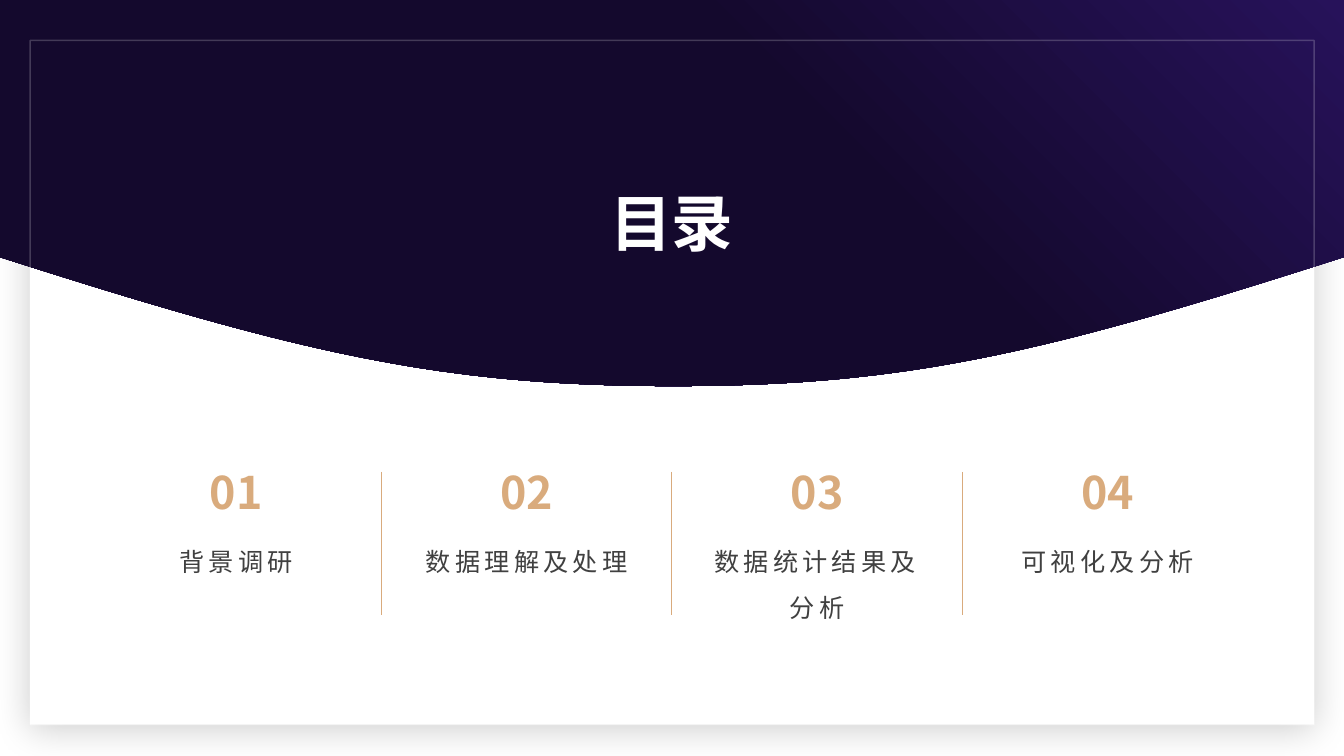
from typing import NamedTuple

from lxml import etree
from pptx import Presentation
from pptx.dml.color import RGBColor
from pptx.enum.shapes import MSO_CONNECTOR, MSO_SHAPE
from pptx.enum.text import MSO_ANCHOR, MSO_AUTO_SIZE, PP_ALIGN
from pptx.oxml.ns import qn
from pptx.util import Cm, Pt

RECTANGLE = MSO_SHAPE.RECTANGLE
STRAIGHT = MSO_CONNECTOR.STRAIGHT
TOP, BOTTOM = MSO_ANCHOR.TOP, MSO_ANCHOR.BOTTOM
CENTER = PP_ALIGN.CENTER
NO_AUTOFIT = MSO_AUTO_SIZE.NONE

WHITE = RGBColor(0xFF, 0xFF, 0xFF)
VIOLET = RGBColor(0x27, 0x12, 0x5A)
MIDNIGHT = RGBColor(0x14, 0x09, 0x2D)
GOLD = RGBColor(0xD9, 0xAB, 0x7D)
GRAY = RGBColor(0x40, 0x40, 0x40)
FONT = "Noto Sans CJK SC"

SLIDE_WIDTH, SLIDE_HEIGHT = 33.87, 19.05
COLUMN_LEFT, COLUMN_PITCH, COLUMN_WIDTH = 3.35, 7.32, 5.21
DIVIDER_OFFSET, DIVIDER_TOP, DIVIDER_BOTTOM = 6.26, 11.89, 15.49
CURVE_STEPS = 40


class Box(NamedTuple):
    left: float
    top: float
    width: float
    height: float

    def lengths(self):
        return tuple(Cm(value) for value in self)


class TextStyle(NamedTuple):
    size: int
    color: RGBColor
    bold: bool
    anchor: MSO_ANCHOR
    line_spacing: float = 1.0
    letter_spacing: int = 0


class Point(NamedTuple):
    x: float
    y: float


TITLE_STYLE = TextStyle(44, WHITE, True, BOTTOM)
NUMBER_STYLE = TextStyle(32, GOLD, True, BOTTOM)
LABEL_STYLE = TextStyle(18, GRAY, False, TOP, 1.5, 3)
CHAPTERS = ["背景调研", "数据理解及处理", "数据统计结果及分析", "可视化及分析"]


def write_text(shape, text: str, style: TextStyle) -> None:
    frame = shape.text_frame
    frame.auto_size = NO_AUTOFIT
    frame.word_wrap = True
    frame.vertical_anchor = style.anchor
    frame.margin_left = frame.margin_right = frame.margin_top = frame.margin_bottom = 0
    paragraph = frame.paragraphs[0]
    paragraph.alignment = CENTER
    paragraph.line_spacing = style.line_spacing
    run = paragraph.add_run()
    run.text = text
    run.font.size = Pt(style.size)
    run.font.bold = style.bold
    run.font.color.rgb = style.color
    run.font.name = FONT
    properties = run.font._element
    etree.SubElement(properties, qn("a:ea")).set("typeface", FONT)
    if style.letter_spacing:
        properties.set("spc", str(style.letter_spacing * 100))


def add_text(slide, box: Box, text: str, style: TextStyle) -> None:
    write_text(slide.shapes.add_textbox(*box.lengths()), text, style)


def set_alpha(color_element, percent: int) -> None:
    etree.SubElement(color_element, qn("a:alpha")).set("val", str(percent * 1000))


def add_card(slide, box: Box) -> None:
    card = slide.shapes.add_shape(RECTANGLE, *box.lengths())
    card.fill.solid()
    card.fill.fore_color.rgb = WHITE
    card.line.fill.background()
    card.shadow.inherit = False
    effects = card._element.spPr.find(qn("a:effectLst"))
    shadow = etree.SubElement(effects, qn("a:outerShdw"), blurRad=str(Pt(26)),
                              dist=str(Pt(3)), dir="5400000", algn="t", rotWithShape="0")
    color = etree.SubElement(shadow, qn("a:srgbClr"), val="000000")
    set_alpha(color, 20)


def add_frame(slide, box: Box) -> None:
    frame = slide.shapes.add_shape(RECTANGLE, *box.lengths())
    frame.shadow.inherit = False
    frame.fill.background()
    frame.line.color.rgb = WHITE
    frame.line.width = Pt(1)
    set_alpha(next(frame.line._ln.iter(qn("a:srgbClr"))), 20)


def bezier(start: Point, first: Point, second: Point, end: Point) -> list[Point]:
    points = []
    for step in range(1, CURVE_STEPS + 1):
        t = step / CURVE_STEPS
        weights = ((1 - t) ** 3, 3 * t * (1 - t) ** 2, 3 * t * t * (1 - t), t ** 3)
        controls = (start, first, second, end)
        points.append(Point(sum(w * c.x for w, c in zip(weights, controls)),
                            sum(w * c.y for w, c in zip(weights, controls))))
    return points


def add_header(slide) -> None:
    left_end, right_end = Point(0, 6.48), Point(SLIDE_WIDTH, 6.48)
    lowest = Point(16.97, 9.73)
    outline = [Point(0, 0), Point(SLIDE_WIDTH, 0), right_end]
    outline += bezier(right_end, Point(26.21, 8.94), Point(22.76, 9.73), lowest)
    outline += bezier(lowest, Point(11.18, 9.73), Point(7.67, 8.94), left_end)
    builder = slide.shapes.build_freeform(Cm(left_end.x), Cm(left_end.y))
    builder.add_line_segments([(Cm(point.x), Cm(point.y)) for point in outline], close=True)
    header = builder.convert_to_shape()
    header.shadow.inherit = False
    header.line.fill.background()
    header.fill.gradient()
    header.fill.gradient_angle = 225
    for stop, color, position in zip(header.fill.gradient_stops, (VIOLET, MIDNIGHT), (0, 0.38)):
        stop.color.rgb = color
        stop.position = position


def add_divider(slide, x: float) -> None:
    divider = slide.shapes.add_connector(STRAIGHT, Cm(x), Cm(DIVIDER_TOP),
                                         Cm(x), Cm(DIVIDER_BOTTOM))
    divider.line.color.rgb = GOLD
    divider.line.width = Pt(1)
    etree.SubElement(divider._element.spPr, qn("a:effectLst"))


def main() -> None:
    presentation = Presentation()
    presentation.slide_width = Cm(SLIDE_WIDTH)
    presentation.slide_height = Cm(SLIDE_HEIGHT)
    slide = presentation.slides.add_slide(presentation.slide_layouts[5])

    # Backdrop
    add_card(slide, Box(0.76, 1.24, 32.36, 17.02))
    add_header(slide)
    add_frame(slide, Box(0.76, 1.02, 32.36, 17.25))

    # Title, brought in front of the backdrop
    title = slide.shapes.title
    title.left, title.top, title.width, title.height = Box(2.44, 3.53, 28.98, 3).lengths()
    write_text(title, "目录", TITLE_STYLE)
    slide.shapes._spTree.append(title._element)

    # Chapters, with a divider between neighbours
    for index, chapter in enumerate(CHAPTERS):
        left = COLUMN_LEFT + index * COLUMN_PITCH
        add_text(slide, Box(left, 11.18, COLUMN_WIDTH, 1.88), f"{index + 1:02}", NUMBER_STYLE)
        add_text(slide, Box(left, 13.39, COLUMN_WIDTH, 3.61), chapter, LABEL_STYLE)
        if index < len(CHAPTERS) - 1:
            add_divider(slide, left + DIVIDER_OFFSET)

    presentation.save("out.pptx")


if __name__ == "__main__":
    main()
